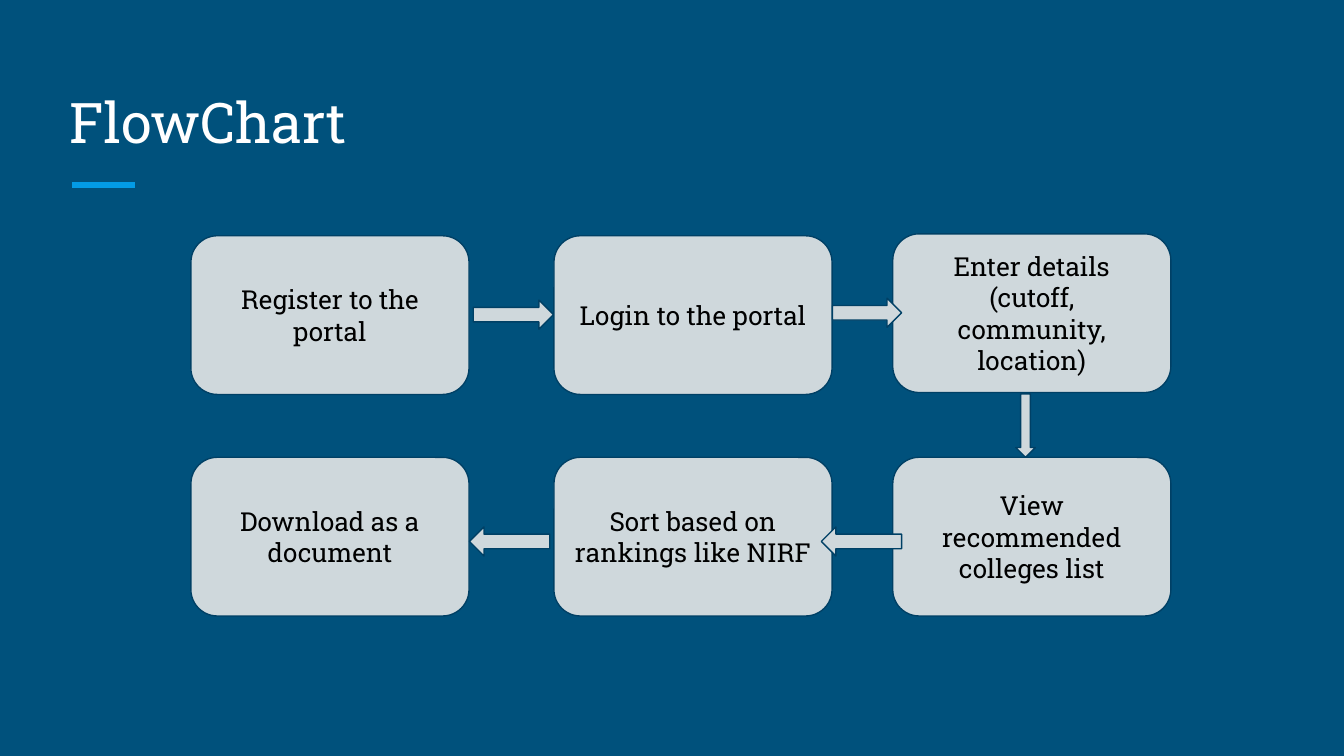
from pptx import Presentation
from pptx.dml.color import RGBColor
from pptx.enum.shapes import MSO_CONNECTOR, MSO_SHAPE as SHAPE
from pptx.enum.text import MSO_ANCHOR as ANCHOR, PP_ALIGN as ALIGN
from pptx.oxml.ns import qn
from pptx.util import Pt
from lxml import etree

COLORS = {
    "background": "00517C",
    "accent": "039BE5",
    "title": "FFFFFF",
    "fill": "CFD8DC",
    "outline": "004065",
    "text": "000000",
}


def rgb(name):
    return RGBColor.from_string(COLORS[name])


def write(shape, text, size, color, anchor, align):
    frame = shape.text_frame
    frame.word_wrap = True
    frame.vertical_anchor = anchor
    frame.margin_left = frame.margin_right = Pt(7.2)
    frame.margin_top = frame.margin_bottom = Pt(7.2)
    paragraph = frame.paragraphs[0]
    paragraph.alignment = align
    run = paragraph.add_run()
    run.text = text
    run.font.name = "Roboto Slab"
    run.font.size = Pt(size)
    run.font.color.rgb = rgb(color)


deck = Presentation()
deck.slide_width, deck.slide_height = Pt(720), Pt(405)
slide = deck.slides.add_slide(deck.slide_layouts[6])
slide.background.fill.solid()
slide.background.fill.fore_color.rgb = rgb("background")

# Title and its accent rule
rule = slide.shapes.add_connector(
    MSO_CONNECTOR.STRAIGHT, Pt(38.6), Pt(99.2), Pt(72.3), Pt(99.2))
rule.line.color.rgb = rgb("accent")
rule.line.width = Pt(3)
etree.SubElement(rule._element.spPr, qn("a:effectLst"))

title = slide.shapes.add_textbox(Pt(30.2), Pt(36), Pt(659), Pt(54))
write(title, "FlowChart", 30, "title", ANCHOR.BOTTOM, ALIGN.LEFT)

# Steps run right along the top row, then back left along the bottom row
STEP_W, STEP_H = 149, 85
LEFT, MIDDLE, RIGHT = 102.3, 296.8, 478.3
TOP, BOTTOM = 126.3, 245
steps = [
    ("Register to the portal", LEFT, TOP),
    ("Login to the portal", MIDDLE, TOP),
    ("Enter details (cutoff, community, location)", RIGHT, TOP - 1),
    ("View recommended colleges list", RIGHT, BOTTOM),
    ("Sort based on rankings like NIRF", MIDDLE, BOTTOM),
    ("Download as a document", LEFT, BOTTOM),
]
arrows = [
    (SHAPE.RIGHT_ARROW, 253.5, 160.8, 43, 15.6),
    (SHAPE.RIGHT_ARROW, 446, 159.8, 37, 15.6),
    (SHAPE.DOWN_ARROW, 544.2, 211, 10.5, 34),
    (SHAPE.LEFT_ARROW, 440, 282.3, 43, 15.6),
    (SHAPE.LEFT_ARROW, 251.5, 282.3, 43, 15.6),
]
boxes = [(SHAPE.ROUNDED_RECTANGLE, x, y, STEP_W, STEP_H) for _, x, y in steps]
labels = [label for label, _, _ in steps] + [None] * len(arrows)

for (kind, *bounds), label in zip(boxes + arrows, labels):
    part = slide.shapes.add_shape(kind, *map(Pt, bounds))
    part.shadow.inherit = False
    part.fill.solid()
    part.fill.fore_color.rgb = rgb("fill")
    part.line.color.rgb = rgb("outline")
    part.line.width = Pt(0.75)
    if label:
        write(part, label, 14, "text", ANCHOR.MIDDLE, ALIGN.CENTER)

deck.save("out.pptx")
